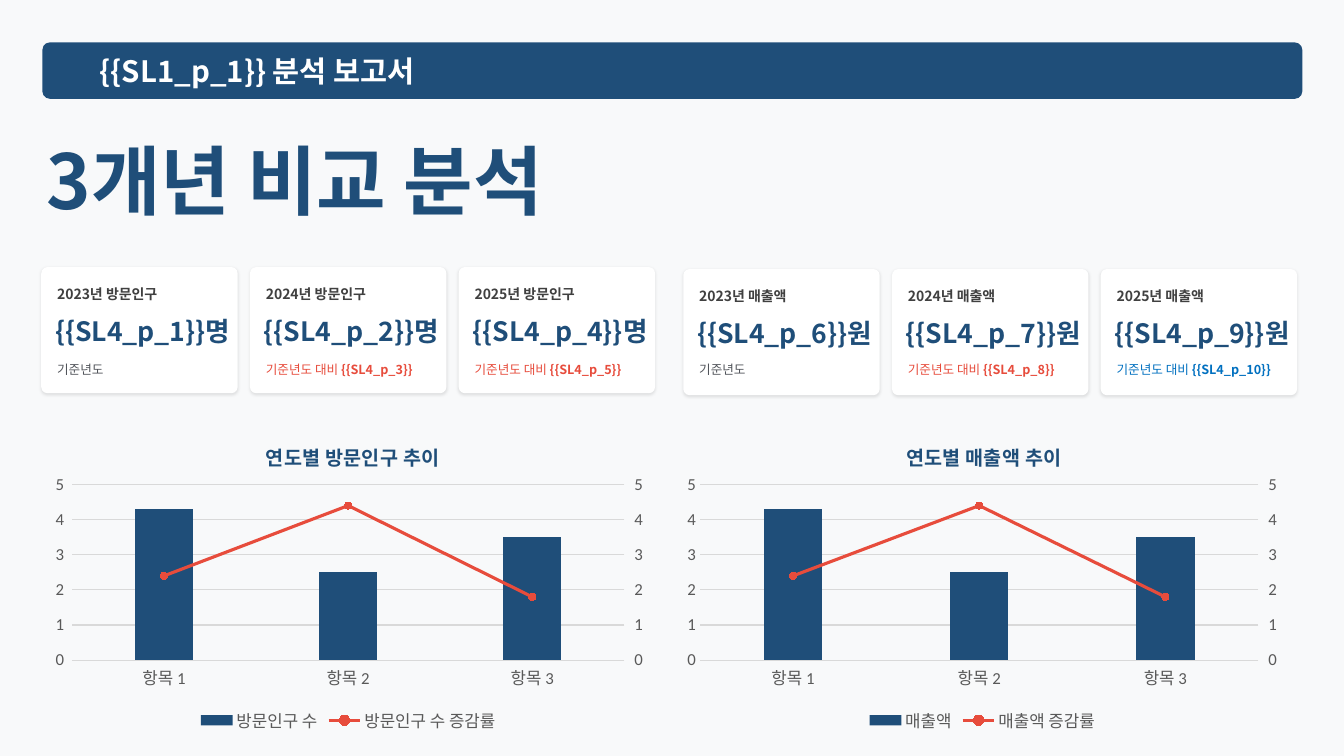
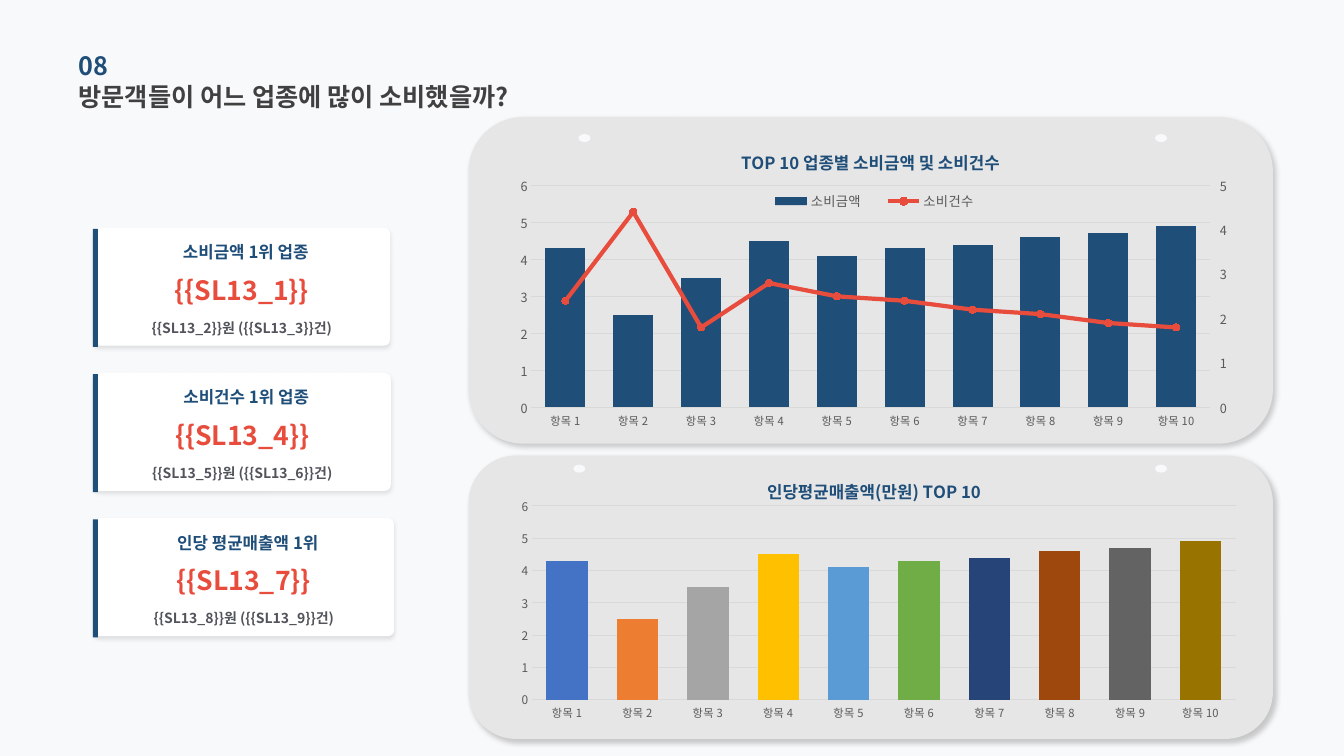
from copy import deepcopy

from lxml import etree
from pptx import Presentation
from pptx import util as u
from pptx.chart import axis as axes
from pptx.chart import data as cd
from pptx.dml.color import RGBColor
from pptx.enum import chart as ec
from pptx.enum import shapes, text
from pptx.oxml import parse_xml
from pptx.oxml.ns import nsdecls, qn

FONT, LATIN = "Noto Sans CJK KR", "Calibri"
PAPER, WHITE, PANEL = "F8F9FA", "FFFFFF", "E7E6E6"
NAVY, RED, BLUE = "1F4E79", "E74C3C", "0070C0"
DARK, SLATE, GREY, RULE = "404040", "51545A", "595959", "D9D9D9"
HUES = ["4472C4", "ED7D31", "A5A5A5", "FFC000", "5B9BD5",
        "70AD47", "264478", "9E480E", "636363", "997300"]
SHAPE = shapes.MSO_SHAPE
CENTER, LEFT = text.PP_ALIGN.CENTER, text.PP_ALIGN.LEFT


def rgb(code):
    return RGBColor.from_string(code)


def style(font, size, color, bold=False, name=FONT):
    font.size, font.bold, font.name = u.Pt(size), bold, name
    font.color.rgb = rgb(color)


def place(el, x, y, w=None, h=None):
    """Give a chart part a manual layout in fractions of the chart."""
    for old in el.findall(qn("c:layout")):
        el.remove(old)
    plot = el.tag == qn("c:plotArea")
    parts = [("layoutTarget", "inner")] if plot else []
    parts += [("xMode", "edge"), ("yMode", "edge"), ("x", x), ("y", y)]
    if w:
        parts += [("w", w), ("h", h)]
    layout = etree.Element(qn("c:layout"))
    manual = etree.SubElement(layout, qn("c:manualLayout"))
    for tag, val in parts:
        etree.SubElement(manual, qn("c:" + tag)).set("val", str(val))
    before = [c for c in el if c.tag in (qn("c:tx"), qn("c:legendPos"))]
    el.insert(len(before), layout)


def split(chart):
    """Move the second series to a line plot on a right-hand axis."""
    area = chart.element.find(".//" + qn("c:plotArea"))
    bar = area.find(qn("c:barChart"))
    ser = bar.findall(qn("c:ser"))[1]
    for old in ser.findall(qn("c:invertIfNegative")):
        ser.remove(old)
    line = parse_xml(
        f'<c:lineChart {nsdecls("c")}><c:grouping val="standard"/>'
        '<c:varyColors val="0"/><c:marker val="1"/>'
        '<c:axId val="501"/><c:axId val="502"/></c:lineChart>')
    line.insert(2, ser)
    bar.addnext(line)
    cat, val = (deepcopy(area.find(qn(t))) for t in ("c:catAx", "c:valAx"))
    for el, own, other in ((cat, "501", "502"), (val, "502", "501")):
        el.find(qn("c:axId")).set("val", own)
        el.find(qn("c:crossAx")).set("val", other)
    val.find(qn("c:axPos")).set("val", "r")
    val.find(qn("c:crosses")).set("val", "max")
    area.findall(qn("c:valAx"))[-1].addnext(val)
    val.addnext(cat)
    axes.CategoryAxis(cat).visible = False
    right = axes.ValueAxis(val)
    right.has_major_gridlines = False
    right.major_tick_mark = ec.XL_TICK_MARK.OUTSIDE
    return right


class Deck:
    """Holds the shared style and the slide being built."""

    def __init__(self):
        self.prs = Presentation()
        self.prs.slide_width, self.prs.slide_height = u.Cm(33.87), u.Cm(19.05)
        back = self.prs.slide_master.background.fill
        back.solid()
        back.fore_color.rgb = rgb(PAPER)

    def start(self):
        self.slide = self.prs.slides.add_slide(self.prs.slide_layouts[5])
        self.on = self.slide.shapes

    def group(self):
        self.on = self.slide.shapes.add_group_shape().shapes

    def leave(self):
        self.on = self.slide.shapes

    def shape(self, kind, box, fill, adj=None, shadow=None):
        """Shadow is opacity %, blur pt, distance pt, angle in degrees."""
        form = self.on.add_shape(kind, *map(u.Cm, box))
        form.shadow.inherit = False
        form.fill.solid()
        form.fill.fore_color.rgb = rgb(fill)
        form.line.fill.background()
        if adj:
            form.adjustments[0] = adj
        if shadow:
            alpha, blur, dist, turn = shadow
            form.element.find(".//" + qn("a:effectLst")).append(parse_xml(
                f'<a:outerShdw {nsdecls("a")} blurRad="{u.Pt(blur)}" '
                f'dist="{u.Pt(dist)}" dir="{turn * 60000}" algn="ctr" '
                'rotWithShape="0"><a:srgbClr val="000000">'
                f'<a:alpha val="{alpha * 1000}"/></a:srgbClr></a:outerShdw>'))

    def fit(self, form, words, size, color, bold, align, tail=""):
        """Fill a text shape; tail is a bold run after the words."""
        frame = form.text_frame
        frame.text = words
        frame.word_wrap, frame.auto_size = True, text.MSO_AUTO_SIZE.NONE
        frame.vertical_anchor = text.MSO_ANCHOR.MIDDLE
        frame.margin_left = frame.margin_right = 0
        frame.margin_top = frame.margin_bottom = 0
        para = frame.paragraphs[0]
        para.alignment = align
        style(para.runs[0].font, size, color, bold)
        if tail:
            run = para.add_run()
            run.text = tail
            style(run.font, size, color, True)

    def text(self, box, words, size, color, bold=True, align=LEFT, tail=""):
        form = self.on.add_textbox(*map(u.Cm, box))
        self.fit(form, words, size, color, bold, align, tail)

    def title(self, box, words, size, color):
        form = self.slide.shapes.title
        form.left, form.top, form.width, form.height = map(u.Cm, box)
        self.fit(form, words, size, color, True, LEFT)

    def chart(self, box, title, spot, plot, series, top, gap, sizes,
              face=FONT, lap=None, thick=2.25, legend=None, form="General"):
        """Sizes are those of title, categories, values and legend."""
        data = cd.CategoryChartData()
        data.categories = [f"항목 {i + 1}" for i in range(len(series[0][1]))]
        for name, vals in series:
            data.add_series(name, vals)
        chart = self.on.add_chart(ec.XL_CHART_TYPE.COLUMN_CLUSTERED,
                                  *map(u.Cm, box), data).chart
        style(chart.font, 10, "000000", name=LATIN)
        chart.has_title = True
        frame = chart.chart_title.text_frame
        frame.text = title
        style(frame.paragraphs[0].runs[0].font, sizes[0], NAVY, True)
        chart.chart_title.include_in_layout = False
        root = chart.element
        place(root.find(".//" + qn("c:title")), *spot)
        place(root.find(".//" + qn("c:plotArea")), *plot)

        cat, val = chart.category_axis, chart.value_axis
        for axis, size in ((cat, sizes[1]), (val, sizes[2])):
            axis.major_tick_mark = ec.XL_TICK_MARK.NONE
            style(axis.tick_labels.font, size, GREY, name=face)
        val.tick_labels.number_format = form
        val.tick_labels.number_format_is_linked = False
        val.minimum_scale, val.maximum_scale, val.major_unit = 0, top, 1
        val.has_major_gridlines = True
        for line in (cat.format.line, val.major_gridlines.format.line):
            line.color.rgb, line.width = rgb(RULE), u.Pt(0.75)
        val.format.line.fill.background()

        bars = chart.plots[0]
        bars.gap_width, bars.vary_by_categories = gap, False
        if lap:
            bars.overlap = lap
        paint = bars.series[0].format.fill
        paint.solid()
        paint.fore_color.rgb = rgb(NAVY)
        chart.has_legend = len(series) > 1
        if chart.has_legend:
            self.trend(chart, thick)
            key = chart.legend
            key.include_in_layout = False
            key.position = ec.XL_LEGEND_POSITION.BOTTOM
            if legend:
                key.position = ec.XL_LEGEND_POSITION.TOP
                place(root.find(".//" + qn("c:legend")), *legend)
            style(key.font, sizes[3], GREY)
        else:
            for i, hue in enumerate(HUES):
                fill = bars.series[0].points[i].format.fill
                fill.solid()
                fill.fore_color.rgb = rgb(hue)
        self.east(root)

    def trend(self, chart, thick):
        right = split(chart)
        right.maximum_scale = 5
        right.major_unit = 1 if chart.value_axis.maximum_scale == 5 else 0.5
        right.tick_labels.number_format = "General"
        line = chart.plots[1].series[0]
        line.smooth = False
        line.format.line.color.rgb = rgb(RED)
        line.format.line.width = u.Pt(thick)
        mark = line.marker
        mark.style, mark.size = ec.XL_MARKER_STYLE.CIRCLE, 5
        mark.format.fill.solid()
        mark.format.fill.fore_color.rgb = rgb(RED)
        mark.format.line.color.rgb = rgb(RED)

    def east(self, root):
        """Set the font of Korean letters beside each Latin font."""
        for latin in list(root.iter(qn("a:latin"))):
            ea = etree.Element(qn("a:ea"))
            ea.set("typeface", FONT)
            latin.addnext(ea)

    def save(self):
        for slide in self.prs.slides:
            self.east(slide.element)
        self.prs.save("out.pptx")


def years(deck):
    deck.start()
    base, rise = "기준년도", "기준년도 대비 "
    cards = [
        (1.04, 6.73, [
            ("2023년 방문인구", 2.84, "{{SL4_p_1}}명", base, "", SLATE),
            ("2024년 방문인구", 2.84, "{{SL4_p_2}}명", rise, "{{SL4_p_3}}", RED),
            ("2025년 방문인구", 2.62, "{{SL4_p_4}}명", rise, "{{SL4_p_5}}", RED)]),
        (17.22, 6.78, [
            ("2023년 매출액", 2.84, "{{SL4_p_6}}원", base, "", SLATE),
            ("2024년 매출액", 2.84, "{{SL4_p_7}}원", rise, "{{SL4_p_8}}", RED),
            ("2025년 매출액", 2.84, "{{SL4_p_9}}원", rise, "{{SL4_p_10}}", BLUE)])]
    for left, y, row in cards:
        for i, (label, wide, value, note, tail, color) in enumerate(row):
            x = left + 5.26 * i
            deck.shape(SHAPE.ROUNDED_RECTANGLE, (x, y, 4.95, 3.18), WHITE,
                       0.05, (10, 2, 1, 90))
            deck.text((x + 0.4, y + 0.46, wide, 0.45), label, 10, DARK)
            deck.text((x + 0.35, y + 1.24, 5, 0.74), value, 19, NAVY)
            deck.text((x + 0.4, 9.04, 4.7, 0.53), note, 9, color, False,
                      tail=tail)
    deck.shape(SHAPE.ROUNDED_RECTANGLE, (1.07, 1.07, 31.75, 1.42), NAVY, 0.13)
    deck.text((2.51, 1.24, 11.51, 1.09), "{{SL1_p_1}} 분석 보고서", 21, WHITE)
    deck.title((1.17, 3.12, 16.05, 2.77), "3개년 비교 분석", 54, NAVY)
    charts = [
        (1.04, "방문인구", "방문인구 수", 0.36, (0.05, 0.21, 0.9, 0.55),
         "#,##0_);[Red]\\(#,##0\\)"),
        (17.02, "매출액", "매출액", 0.37, (0.04, 0.21, 0.91, 0.55), "General")]
    for x, topic, name, spot, plot, form in charts:
        deck.chart((x, 10.52, 15.47, 8.05), f"연도별 {topic} 추이",
                   (spot, 0.06), plot,
                   [(name, [4.3, 2.5, 3.5]), (name + " 증감률", [2.4, 4.4, 1.8])],
                   5, 219, (14, 12, 12, 12), LATIN, form=form)


def trades(deck):
    deck.start()
    for y, high in ((11.48, 7.14), (2.95, 8.23)):
        deck.shape(SHAPE.ROUNDED_RECTANGLE, (11.81, y, 20.27, high), PANEL,
                   shadow=(20, 4, 3, 45))
    deck.title((1.98, 1.9, 11.48, 1.04),
               "방문객들이 어느 업종에 많이 소비했을까?", 18, DARK)
    deck.text((1.98, 1.12, 11.48, 1.04), "08", 18, NAVY)
    cards = [
        ("소비금액 1위 업종", "{{SL13_1}}", "{{SL13_2}}원 ({{SL13_3}}건)", 7.47),
        ("소비건수 1위 업종", "{{SL13_4}}", "{{SL13_5}}원 ({{SL13_6}}건)", 7.49),
        ("인당 평균매출액 1위", "{{SL13_7}}", "{{SL13_8}}원 ({{SL13_9}}건)", 7.57)]
    for i, (label, value, note, wide) in enumerate(cards):
        x, y = 2.36, 5.74 + 3.66 * i
        deck.group()
        deck.shape(SHAPE.ROUNDED_RECTANGLE, (x, y, wide, 2.97), WHITE, 0.05,
                   (10, 3, 2, 90))
        deck.text((x + 0.1, y + 0.33, wide, 0.56), label, 12, NAVY,
                  align=CENTER)
        deck.text((x, y + 1.13, wide, 0.86), value, 19, RED, align=CENTER)
        deck.text((x, y + 2.3, wide, 0.43), note, 10, SLATE, align=CENTER)
        deck.leave()
        deck.shape(SHAPE.RECTANGLE, (2.34, y + 0.03, 0.13, 2.97), NAVY)
    spend = [4.3, 2.5, 3.5, 4.5, 4.1, 4.3, 4.4, 4.6, 4.7, 4.9]
    count = [2.4, 4.4, 1.8, 2.8, 2.5, 2.4, 2.2, 2.1, 1.9, 1.8]
    deck.chart((12.65, 3.15, 18.59, 8), "TOP 10 업종별 소비금액 및 소비건수",
               (0.32, 0.06), (0.04, 0.19, 0.92, 0.7),
               [("소비금액", spend), ("소비건수", count)], 6, 70,
               (12, 8, 9, 9.5), lap=-27, thick=3,
               legend=(0.34, 0.2, 0.33, 0.08))
    deck.chart((12.65, 11.53, 18.87, 6.78), "인당평균매출액(만원) TOP 10",
               (0.35, 0.06), (0.04, 0.18, 0.94, 0.72),
               [("Series 1", spend)], 6, 70, (12, 8, 8.5), lap=-27)
    for x, y in ((14.58, 3.38), (29.11, 3.38), (29.11, 11.71), (14.45, 11.71)):
        deck.shape(SHAPE.OVAL, (x, y, 0.3, 0.2), PAPER)


def main():
    deck = Deck()
    years(deck)
    trades(deck)
    deck.save()


if __name__ == "__main__":
    main()
